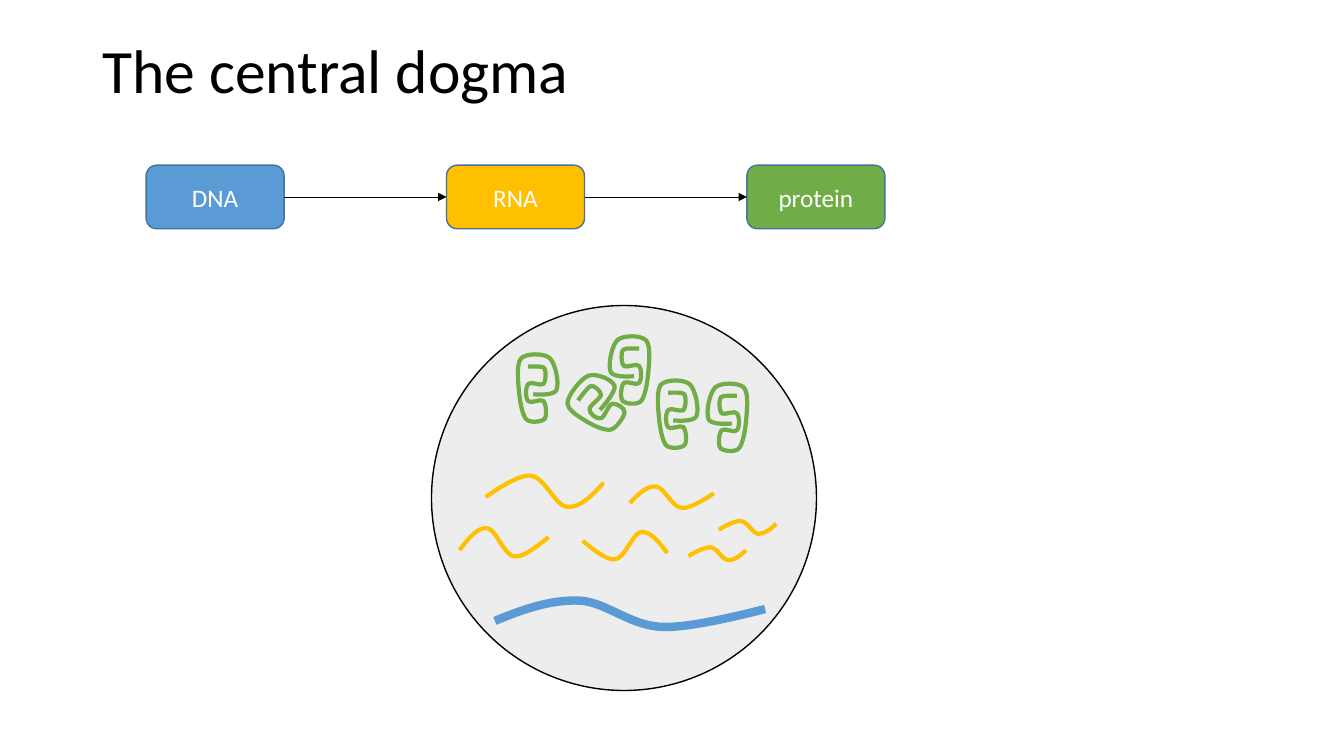
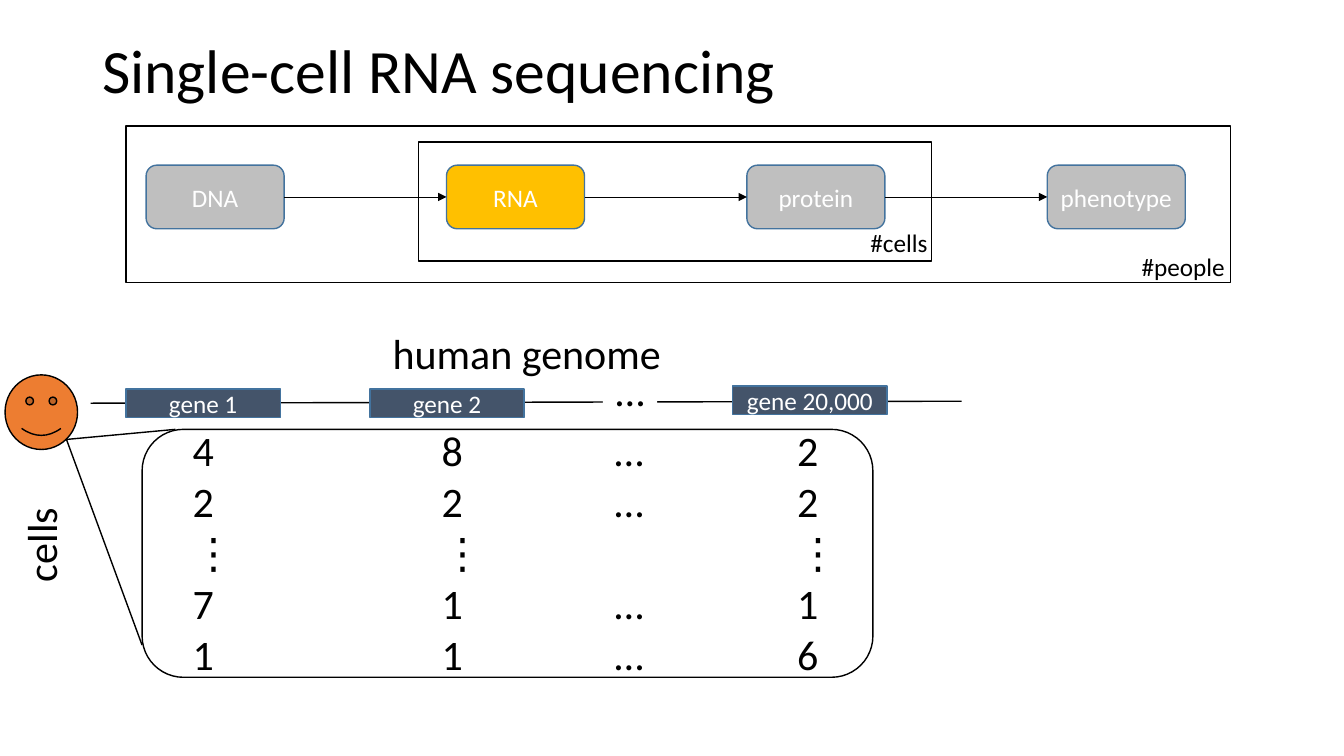
from math import cos, radians, sin

from lxml import etree
from pptx import Presentation
from pptx.dml import color
from pptx.enum import dml, shapes, text
from pptx.oxml import ns
from pptx.util import Pt

FONT = "Calibri"
BLACK, WHITE, GREY, PALE = "000000", "FFFFFF", "BFBFBF", "EDEDED"
BLUE, YELLOW, GREEN, ORANGE = "5B9BD5", "FFC000", "70AD47", "ED7D31"
SLATE, EDGE = "44546A", "43739E"
NO_GRID_STYLE = "{2D5ABB26-0587-4C30-8999-92F81FD0307C}"
CENTER, RIGHT = text.PP_ALIGN.CENTER, text.PP_ALIGN.RIGHT
LEFT = text.PP_ALIGN.LEFT
SHAPE = shapes.MSO_SHAPE

DOGMA = [("DNA", BLUE), ("RNA", YELLOW), ("protein", GREEN)]
SEQUENCING = [("DNA", GREY), ("RNA", YELLOW), ("protein", GREY), ("phenotype", GREY)]
STAGE_LEFT, STAGE_TOP, STAGE_PITCH = 104.4, 118, 214.56
STAGE_WIDTH, STAGE_HEIGHT = 98.6, 45.4

CELL = (308.2, 218.2, 275, 275)
STRAND = [
    (0, 78), (10, 37), (20, 0), (31, 3), (41, 6), (50, 97), (62, 100),
    (73, 106), (100, 34), (100, 34),
]
FOLD = [
    (28, 19), (46, 19), (62, 18), (69, 21), (74, 25), (74, 40), (67, 45),
    (59, 48), (33, 40), (28, 45), (21, 49), (21, 66), (28, 70),
    (33, 75), (59, 66), (67, 70), (74, 75), (77, 93), (69, 97),
    (62, 101), (33, 103), (23, 97), (13, 90), (8, 73), (5, 58),
    (3, 43), (-3, 16), (10, 7), (23, -1), (67, -1), (82, 6),
    (97, 13), (108, 43), (100, 54), (92, 63), (41, 60), (41, 60),
]
DNA_BOX = (353.5, 428.4, 193, 19.4)
RNA_STRANDS = [
    ((328.3, 376.6, 63.4, 20.9), False, 0),
    ((416.2, 379.4, 60.5, 20.2), True, 0),
    ((450, 347, 59.8, 15.8), False, 0),
    ((347, 339.8, 84.2, 23), False, 180),
    ((491.8, 391, 41, 9.4), False, 180),
    ((513.4, 372.2, 41, 9.4), False, 180),
]
PROTEINS = [
    ((369.4, 252.7, 28.1, 48.2), False, 0),
    ((410.4, 267.8, 33.8, 40.3), False, 308.2),
    ((436.3, 239.8, 28.1, 48.2), True, 0),
    ((469.4, 271.4, 28.1, 48.2), False, 0),
    ((506.2, 273.6, 28.1, 48.2), True, 0),
]

PLATES = [
    ((90, 90, 789.1, 111.6), "#people", (780, 175.7, 102, 28.8)),
    ((298.8, 101.5, 366.5, 85), "#cells", (590, 159.1, 79.6, 28.8)),
]
GENES = [("gene 1", 90, 278), ("gene 2", 264.2, 278), ("gene 20,000", 523.4, 275.8)]
COUNTS = [
    ["4", "8", "…", "2"],
    ["2", "2", "…", "2"],
    ["⋮", "⋮", "", "⋮"],
    ["7", "1", "…", "1"],
    ["1", "1", "…", "6"],
]
COUNT_EDGES = [137.5, 315.5, 439, 569.5, 620]
COUNT_TOP, COUNT_HEIGHT = 304.6, 36.4
PERSON = (3.6, 267.8, 51.8, 53.3)
COUNT_FRAME = (101.5, 306.7, 522, 177.1)
ZOOM_START, ZOOM_ENDS = (47.5, 313.9), [(101.5, 460.8), (125.3, 306.7)]


def rgb(value):
    return color.RGBColor.from_string(value)


def points(values):
    return [Pt(value) for value in values]


def write(frame, content, size, ink, align, anchor=text.MSO_ANCHOR.MIDDLE):
    frame.word_wrap = True
    frame.vertical_anchor = anchor
    paragraph = frame.paragraphs[0]
    paragraph.alignment = align
    run = paragraph.add_run()
    run.text = content
    run.font.name = FONT
    run.font.size = Pt(size)
    run.font.color.rgb = rgb(ink)
    return paragraph


def paint(shape, fill, line, width):
    shape.shadow.inherit = False
    if fill:
        shape.fill.solid()
        shape.fill.fore_color.rgb = rgb(fill)
    else:
        shape.fill.background()
    if line:
        shape.line.color.rgb = rgb(line)
        shape.line.width = Pt(width)
    else:
        shape.line.fill.background()


def add_box(slide, kind, box, fill=None, line=BLACK, label="", size=18, ink=WHITE):
    shape = slide.shapes.add_shape(kind, *points(box))
    paint(shape, fill, line, 1)
    if label:
        write(shape.text_frame, label, size, ink, CENTER)
    return shape


def add_text(slide, box, content, size, align):
    shape = slide.shapes.add_textbox(*points(box))
    return shape, write(shape.text_frame, content, size, BLACK, align)


def add_line(slide, start, end, width=1):
    line = slide.shapes.add_connector(
        shapes.MSO_CONNECTOR.STRAIGHT, *points(start + end))
    line.line.color.rgb = rgb(BLACK)
    line.line.width = Pt(width)
    etree.SubElement(line._element.spPr, ns.qn("a:effectLst"))
    return line


def add_curve(slide, outline, box, mirrored, angle, ink, width):
    left, top, box_width, box_height = box
    turn = radians(angle)
    placed = []
    for across, down in outline:
        x = (across / 100 - 0.5) * box_width * (-1 if mirrored else 1)
        y = (down / 100 - 0.5) * box_height
        placed.append((
            Pt(left + box_width / 2 + x * cos(turn) - y * sin(turn)),
            Pt(top + box_height / 2 + x * sin(turn) + y * cos(turn)),
        ))
    builder = slide.shapes.build_freeform(*placed[0])
    builder.add_line_segments(placed[1:], close=False)
    shape = builder.convert_to_shape()
    paint(shape, None, ink, width)
    segments = shape._element.xpath(".//a:lnTo")
    for index, segment in enumerate(segments):
        parent = segment.getparent()
        if index % 3 == 0:
            curve = etree.SubElement(parent, ns.qn("a:cubicBezTo"))
        curve.append(segment[0])
        parent.remove(segment)


def add_flow(slide, stages):
    previous = None
    for index, (name, fill) in enumerate(stages):
        box = (STAGE_LEFT + index * STAGE_PITCH, STAGE_TOP, STAGE_WIDTH, STAGE_HEIGHT)
        stage = add_box(slide, SHAPE.ROUNDED_RECTANGLE, box, fill, EDGE, name)
        if previous:
            arrow = add_line(slide, (0, 0), (0, 0), 0.5)
            arrow.begin_connect(previous, 3)
            arrow.end_connect(stage, 1)
            etree.SubElement(arrow.line._get_or_add_ln(), ns.qn("a:tailEnd"), type="triangle")
        previous = stage


def add_counts(slide):
    box = (COUNT_EDGES[0], COUNT_TOP, COUNT_EDGES[-1] - COUNT_EDGES[0],
           COUNT_HEIGHT * len(COUNTS))
    frame = slide.shapes.add_table(len(COUNTS), len(COUNTS[0]), *points(box))
    table = frame.table
    table.first_row = table.horz_banding = False
    table._tbl.tblPr.find(ns.qn("a:tableStyleId")).text = NO_GRID_STYLE
    for column, left, right in zip(table.columns, COUNT_EDGES, COUNT_EDGES[1:]):
        column.width = Pt(right - left)
    for row, values in zip(table.rows, COUNTS):
        row.height = Pt(COUNT_HEIGHT)
        for cell, value in zip(row.cells, values):
            cell.fill.background()
            cell.margin_left = cell.margin_right = 0
            cell.margin_top = cell.margin_bottom = 0
            write(cell.text_frame, value, 30, BLACK, LEFT, text.MSO_ANCHOR.TOP)


def add_slide(presentation, title, stages):
    slide = presentation.slides.add_slide(presentation.slide_layouts[6])
    _, paragraph = add_text(slide, (66, 0, 828, 104.4), title, 44, LEFT)
    paragraph.line_spacing = 0.9
    add_flow(slide, stages)
    return slide


def build_dogma(presentation):
    slide = add_slide(presentation, "The central dogma", DOGMA)
    add_box(slide, SHAPE.OVAL, CELL, PALE)
    add_curve(slide, STRAND, DNA_BOX, False, 0, BLUE, 6)
    for strand in RNA_STRANDS:
        add_curve(slide, STRAND, *strand, YELLOW, 3)
    for protein in PROTEINS:
        add_curve(slide, FOLD, *protein, GREEN, 3)


def build_sequencing(presentation):
    slide = add_slide(presentation, "Single-cell RNA sequencing", SEQUENCING)
    for box, label, label_box in PLATES:
        add_box(slide, SHAPE.RECTANGLE, box)
        add_text(slide, label_box, label, 18, RIGHT)
    add_line(slide, (64.8, 288), (686.9, 286.6))
    add_text(slide, (66, 229.7, 620.6, 43.9), "human genome", 30, CENTER)
    for name, left, top in GENES:
        add_box(slide, SHAPE.RECTANGLE, (left, top, 110.2, 20.2), SLATE, EDGE, name)
    add_box(slide, SHAPE.RECTANGLE, (430.6, 267.8, 38.9, 21.6), WHITE, None, "…", 30, BLACK)
    cells, _ = add_text(slide, (-72, 367.2, 201.6, 43.9), "cells", 30, CENTER)
    cells.rotation = 270
    add_counts(slide)
    add_box(slide, SHAPE.SMILEY_FACE, PERSON, ORANGE)
    for end in ZOOM_ENDS:
        add_line(slide, ZOOM_START, end)
    add_box(slide, SHAPE.ROUNDED_RECTANGLE, COUNT_FRAME)


def main():
    presentation = Presentation()
    presentation.slide_width, presentation.slide_height = Pt(960), Pt(540)
    build_dogma(presentation)
    build_sequencing(presentation)
    presentation.save("out.pptx")


if __name__ == "__main__":
    main()
